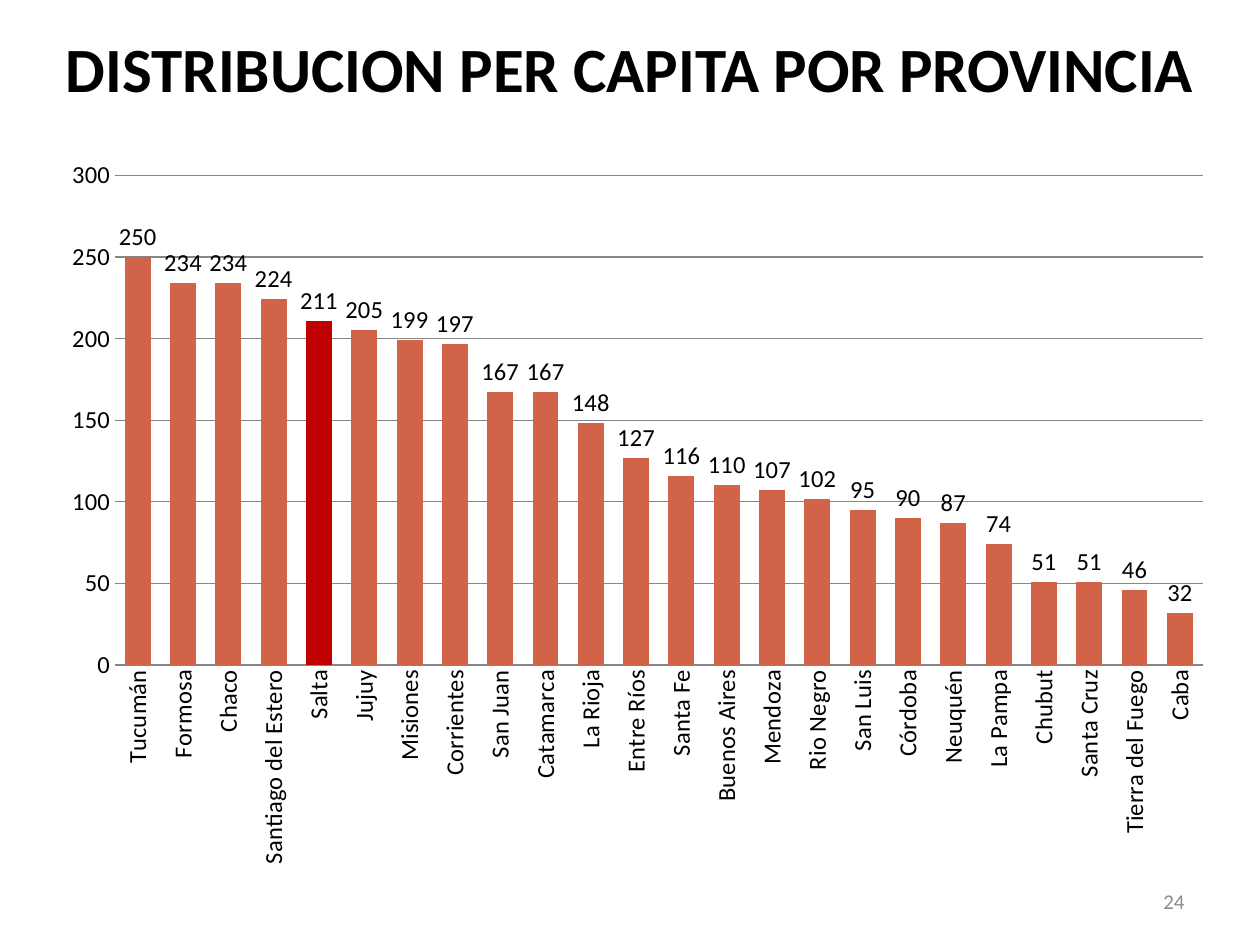
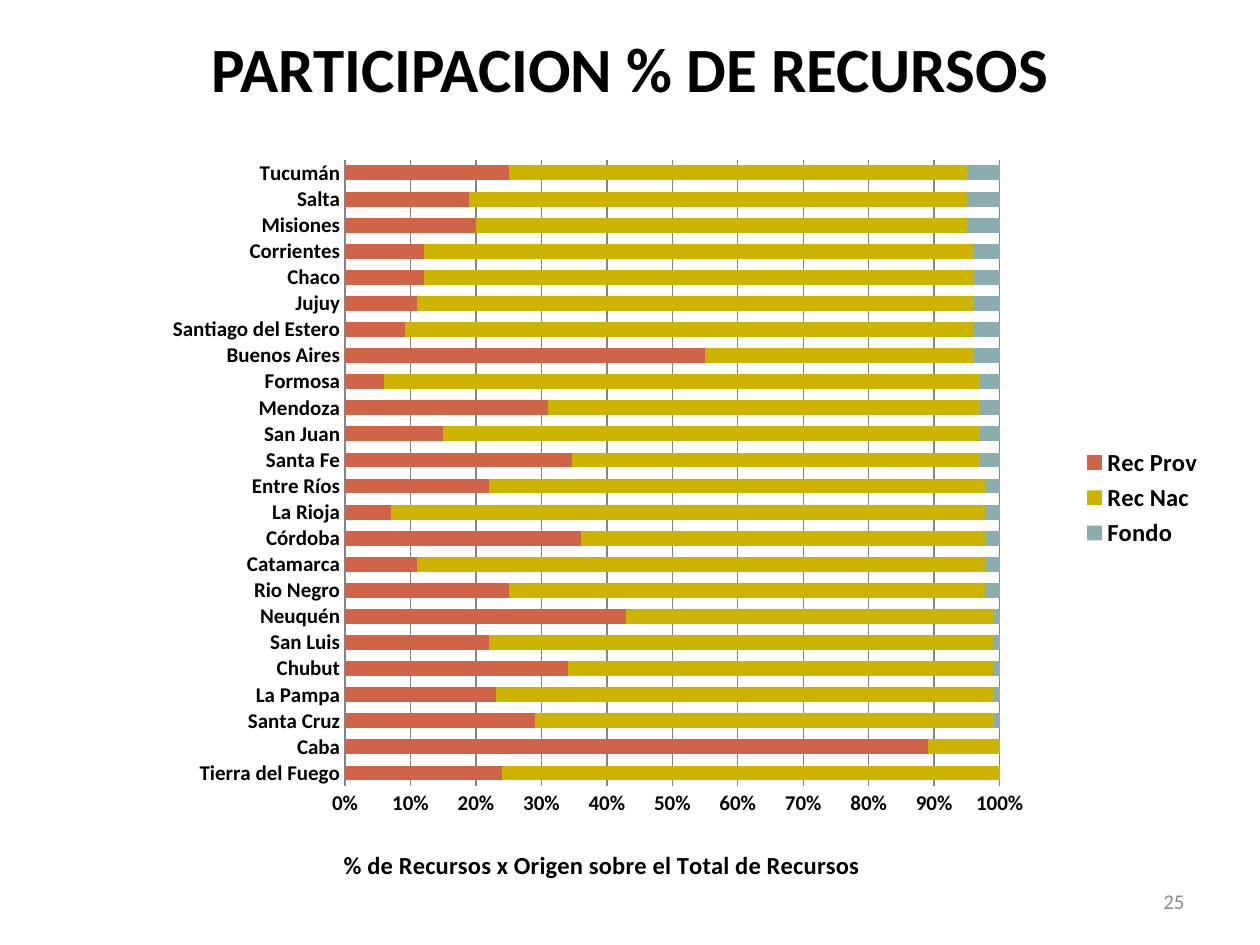
from dataclasses import dataclass

from lxml.etree import SubElement
from pptx import Presentation
from pptx.chart.axis import CategoryAxis, ValueAxis
from pptx.chart.chart import Chart
from pptx.chart.data import CategoryChartData
from pptx.dml.color import RGBColor
from pptx.enum.chart import XL_CHART_TYPE as ChartType
from pptx.enum.chart import XL_LABEL_POSITION as LabelPosition
from pptx.enum.chart import XL_LEGEND_POSITION as LegendPosition
from pptx.enum.chart import XL_TICK_MARK as TickMark
from pptx.enum.text import MSO_ANCHOR as Anchor
from pptx.enum.text import MSO_AUTO_SIZE as AutoSize
from pptx.enum.text import PP_ALIGN as Align
from pptx.oxml.ns import qn
from pptx.presentation import Presentation as Deck
from pptx.slide import Slide
from pptx.text.text import Font
from pptx.util import Cm, Pt


@dataclass(frozen=True)
class Theme:
    font: str = "Calibri"
    ink: str = "000000"
    muted: str = "8C8C8C"
    grid: str = "868686"
    highlight: str = "C00000"
    series: tuple[str, ...] = ("D16349", "CCB400", "8CADAE")
    title_size: int = 36
    large_size: int = 14
    small_size: int = 12
    line_width: float = 0.75


@dataclass(frozen=True)
class Box:
    left: float
    top: float
    width: float
    height: float

    def lengths(self) -> tuple[Cm, Cm, Cm, Cm]:
        return Cm(self.left), Cm(self.top), Cm(self.width), Cm(self.height)


@dataclass(frozen=True)
class ChartPlan:
    kind: ChartType
    frame: Box
    plot: Box
    overlap: int
    size: int
    bold: bool
    number_format: str


THEME = Theme()
TITLE = Box(0, 0, 25.4, 2.72)
PAGE_NUMBER = Box(18.21, 17.65, 5.92, 1.02)
FIRST_NUMBER = 24

PER_CAPITA = {
    "Tucumán": 250, "Formosa": 234, "Chaco": 234, "Santiago del Estero": 224,
    "Salta": 211, "Jujuy": 205, "Misiones": 199, "Corrientes": 197,
    "San Juan": 167, "Catamarca": 167, "La Rioja": 148, "Entre Ríos": 127,
    "Santa Fe": 116, "Buenos Aires": 110, "Mendoza": 107, "Rio Negro": 102,
    "San Luis": 95, "Córdoba": 90, "Neuquén": 87, "La Pampa": 74,
    "Chubut": 51, "Santa Cruz": 51, "Tierra del Fuego": 46, "Caba": 32,
}
HIGHLIGHTED = "Salta"

SOURCES = ("Rec Prov", "Rec Nac", "Fondo")
SHARES = {
    "Tierra del Fuego": (24, 76, 0), "Caba": (89, 11, 0),
    "Santa Cruz": (29, 70, 1), "La Pampa": (23, 76, 1),
    "Chubut": (34, 65, 1), "San Luis": (22, 77, 1),
    "Neuquén": (43, 56, 1), "Rio Negro": (25, 73, 2),
    "Catamarca": (11, 87, 2), "Córdoba": (36, 62, 2),
    "La Rioja": (7, 91, 2), "Entre Ríos": (22, 76, 2),
    "Santa Fe": (35, 63, 3), "San Juan": (15, 82, 3),
    "Mendoza": (31, 66, 3), "Formosa": (6, 91, 3),
    "Buenos Aires": (55, 41, 4), "Santiago del Estero": (9, 86, 4),
    "Jujuy": (11, 85, 4), "Chaco": (12, 84, 4),
    "Corrientes": (12, 84, 4), "Misiones": (20, 75, 5),
    "Salta": (19, 76, 5), "Tucumán": (25, 70, 5),
}

PER_CAPITA_PLAN = ChartPlan(
    ChartType.COLUMN_CLUSTERED, Box(0.89, 2.95, 23.83, 14.73),
    Box(0.06, 0.04, 0.92, 0.67), -25, THEME.large_size, False, "0",
)
SHARES_PLAN = ChartPlan(
    ChartType.BAR_STACKED_100, Box(0.3, 1.73, 24.21, 16.61),
    Box(0.275, 0.09, 0.545, 0.76), 100, THEME.small_size, True, "0%",
)


def style_font(font: Font, size: int, color: str = THEME.ink, bold: bool = False) -> None:
    font.name = THEME.font
    font.size = Pt(size)
    font.bold = bold
    font.color.rgb = RGBColor.from_string(color)


def fill_text(shape, text: str, align: Align, size: int, color: str, bold: bool) -> None:
    frame = shape.text_frame
    frame.word_wrap = True
    frame.auto_size = AutoSize.NONE
    frame.vertical_anchor = Anchor.MIDDLE
    para = frame.paragraphs[0]
    para.alignment = align
    span = para.add_run()
    span.text = text
    style_font(span.font, size, color, bold)


def add_page(deck: Deck, title: str) -> Slide:
    page = deck.slides.add_slide(deck.slide_layouts[5])
    heading = page.shapes.title
    heading.left, heading.top, heading.width, heading.height = TITLE.lengths()
    fill_text(heading, title, Align.CENTER, THEME.title_size, THEME.ink, True)
    number = str(FIRST_NUMBER + len(deck.slides) - 1)
    box = page.shapes.add_textbox(*PAGE_NUMBER.lengths())
    fill_text(box, number, Align.RIGHT, THEME.small_size, THEME.muted, False)
    return page


def place(parent, index: int, settings: dict[str, str | float]) -> None:
    for old in parent.findall(qn("c:layout")):
        parent.remove(old)
    layout = SubElement(parent, qn("c:layout"))
    parent.insert(index, layout)
    manual = SubElement(layout, qn("c:manualLayout"))
    for name, value in settings.items():
        SubElement(manual, qn(f"c:{name}")).set("val", str(value))


def style_axis(axis: CategoryAxis | ValueAxis, plan: ChartPlan) -> None:
    axis.major_tick_mark = TickMark.NONE
    axis.minor_tick_mark = TickMark.NONE
    style_font(axis.tick_labels.font, plan.size, bold=plan.bold)


def style_line(line) -> None:
    line.color.rgb = RGBColor.from_string(THEME.grid)
    line.width = Pt(THEME.line_width)


def add_bars(page: Slide, plan: ChartPlan, data: CategoryChartData) -> Chart:
    chart = page.shapes.add_chart(plan.kind, *plan.frame.lengths(), data).chart
    chart.has_title = False
    chart.has_legend = False
    style_font(chart.font, plan.size)
    plot = chart.plots[0]
    plot.gap_width = 75
    plot.overlap = plan.overlap
    plot.vary_by_categories = False
    for series, color in zip(plot.series, THEME.series):
        series.format.fill.solid()
        series.format.fill.fore_color.rgb = RGBColor.from_string(color)
        series.invert_if_negative = False
    style_axis(chart.category_axis, plan)
    style_line(chart.category_axis.format.line)
    values = chart.value_axis
    style_axis(values, plan)
    values.format.line.fill.background()
    values.has_major_gridlines = True
    style_line(values.major_gridlines.format.line)
    values.tick_labels.number_format = plan.number_format
    values.tick_labels.number_format_is_linked = False
    area = chart._chartSpace.find(".//" + qn("c:plotArea"))
    place(area, 0, {
        "layoutTarget": "inner", "xMode": "edge", "yMode": "edge",
        "x": plan.plot.left, "y": plan.plot.top,
        "w": plan.plot.width, "h": plan.plot.height,
    })
    return chart


def add_per_capita(deck: Deck) -> None:
    page = add_page(deck, "DISTRIBUCION PER CAPITA POR PROVINCIA")
    data = CategoryChartData()
    data.categories = list(PER_CAPITA)
    data.add_series("Per capita", PER_CAPITA.values())
    chart = add_bars(page, PER_CAPITA_PLAN, data)
    chart.value_axis.minimum_scale = 0
    chart.value_axis.maximum_scale = 300
    chart.value_axis.major_unit = 50
    label_body = chart.category_axis._element.find(qn("c:txPr")).find(qn("a:bodyPr"))
    label_body.set("rot", "-5400000")
    label_body.set("vert", "horz")
    plot = chart.plots[0]
    point = plot.series[0].points[list(PER_CAPITA).index(HIGHLIGHTED)]
    point.format.fill.solid()
    point.format.fill.fore_color.rgb = RGBColor.from_string(THEME.highlight)
    plot.has_data_labels = True
    labels = plot.data_labels
    labels.show_value = True
    labels.position = LabelPosition.OUTSIDE_END
    labels.number_format = "0"
    labels.number_format_is_linked = False
    style_font(labels.font, THEME.large_size)


def add_shares(deck: Deck) -> None:
    page = add_page(deck, "PARTICIPACION % DE RECURSOS")
    data = CategoryChartData()
    data.categories = list(SHARES)
    for source, shares in zip(SOURCES, zip(*SHARES.values())):
        data.add_series(source, shares)
    chart = add_bars(page, SHARES_PLAN, data)
    chart.has_legend = True
    chart.legend.position = LegendPosition.RIGHT
    chart.legend.include_in_layout = False
    style_font(chart.legend.font, THEME.large_size, bold=True)
    title = chart.value_axis.axis_title
    span = title.text_frame.paragraphs[0].add_run()
    span.text = "% de Recursos x Origen sobre el Total de Recursos"
    style_font(span.font, THEME.large_size, bold=True)
    title._element.find(".//" + qn("a:bodyPr")).set("rot", "0")
    place(title._element, 1, {"xMode": "edge", "yMode": "edge", "x": 0.27, "y": 0.92})


def main() -> None:
    deck = Presentation()
    deck.slide_width = Cm(25.4)
    deck.slide_height = Cm(19.05)
    add_per_capita(deck)
    add_shares(deck)
    deck.save("out.pptx")


if __name__ == "__main__":
    main()
